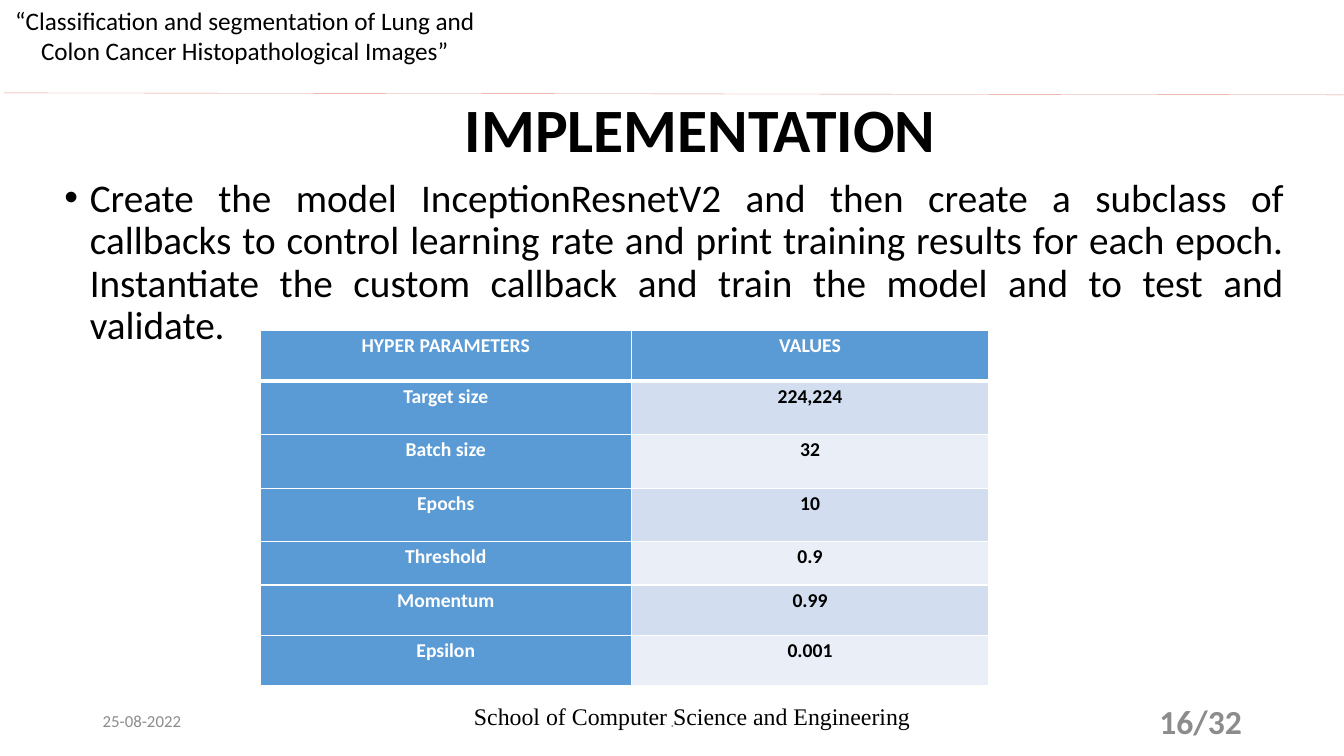
"""Build the implementation slide with its table of hyper parameters."""
from dataclasses import dataclass

import lxml.etree
import pptx
import pptx.dml.color
import pptx.enum.shapes
import pptx.enum.text
import pptx.oxml.ns
import pptx.util

Cm = pptx.util.Cm
Pt = pptx.util.Pt
Align = pptx.enum.text.PP_ALIGN
Anchor = pptx.enum.text.MSO_ANCHOR
qn = pptx.oxml.ns.qn

BLACK, WHITE, GREY = "000000", "FFFFFF", "8C8C8C"
BLUE, BANDS = "5B9BD5", ("EAEFF7", "D2DEEF")
ROSE = "E4948A"
FOOTER_TOP = 17.65


@dataclass(frozen=True)
class Label:
    text: str
    left: float
    top: float
    width: float
    height: float
    size: float
    color: str = GREY
    align: Align = Align.CENTER
    anchor: Anchor = Anchor.MIDDLE
    font: str = "Calibri"
    bold: bool = False


@dataclass(frozen=True)
class Parameter:
    name: str
    value: str
    height: float


LABELS = (
    Label("School of Computer Science and Engineering", 11.63, FOOTER_TOP, 11.63, 0.76,
          17, BLACK, font="Times New Roman"),
    Label("25-08-2022", 2.34, FOOTER_TOP, 7.62, 1.02, 12, align=Align.LEFT),
    Label(".", 11.23, FOOTER_TOP, 11.43, 1.02, 12),
    Label("16/32", 23.93, FOOTER_TOP, 7.62, 1.02, 24, align=Align.RIGHT, bold=True),
    Label("“Classification and segmentation of Lung and Colon Cancer Histopathological Images”",
          0, 0, 12.34, 1.8, 18, BLACK, anchor=Anchor.TOP),
)

PARAMETERS = (
    Parameter("HYPER PARAMETERS", "VALUES", 1.27),
    Parameter("Target size", "224,224", 1.35),
    Parameter("Batch size", "32", 1.35),
    Parameter("Epochs", "10", 1.35),
    Parameter("Threshold", "0.9", 1.09),
    Parameter("Momentum", "0.99", 1.27),
    Parameter("Epsilon", "0.001", 1.27),
)


def rgb(color: str) -> pptx.dml.color.RGBColor:
    """Return the colour of a hex string."""
    return pptx.dml.color.RGBColor.from_string(color)


def write(frame, text: str, *, size: float, color: str = BLACK, bold: bool = False,
          font: str = "Calibri", align: Align = Align.CENTER,
          anchor: Anchor = Anchor.TOP, spacing: float = 1.0, bullet: str = "") -> None:
    """Fill a text frame with one formatted paragraph."""
    frame.word_wrap = True
    frame.auto_size = pptx.enum.text.MSO_AUTO_SIZE.NONE
    frame.vertical_anchor = anchor
    paragraph = frame.paragraphs[0]
    if bullet:
        properties = paragraph._p.get_or_add_pPr()
        properties.set("marL", str(Cm(0.64)))
        properties.set("indent", str(-Cm(0.64)))
        lxml.etree.SubElement(properties, qn("a:buFont"), typeface="Arial")
        lxml.etree.SubElement(properties, qn("a:buChar"), char=bullet)
    paragraph.alignment = align
    paragraph.line_spacing = spacing
    paragraph.space_before = Pt(0)
    run = paragraph.add_run()
    run.text = text
    run.font.name = font
    run.font.size = Pt(size)
    run.font.bold = bold
    run.font.color.rgb = rgb(color)


def place(shape, left: float, top: float, width: float, height: float) -> None:
    """Move and size a shape in centimetres."""
    shape.left, shape.top = Cm(left), Cm(top)
    shape.width, shape.height = Cm(width), Cm(height)


def add_label(slide, label: Label) -> None:
    """Add one text box."""
    box = slide.shapes.add_textbox(Cm(label.left), Cm(label.top),
                                   Cm(label.width), Cm(label.height))
    write(box.text_frame, label.text, size=label.size, color=label.color,
          bold=label.bold, font=label.font, align=label.align, anchor=label.anchor)


def add_rule(slide) -> None:
    """Draw the thin line under the header."""
    line = slide.shapes.add_connector(pptx.enum.shapes.MSO_CONNECTOR.STRAIGHT,
                                      Cm(0.1), Cm(2.34), Cm(33.86), Cm(2.39))
    line.line.color.rgb = rgb(ROSE)
    line.line.width = Pt(0.25)
    lxml.etree.SubElement(line._element.spPr, qn("a:effectLst"))


def set_borders(cell, top: float, bottom: float) -> None:
    """Give a cell white borders with widths in points."""
    properties = cell._tc.get_or_add_tcPr()
    for side, width in (("L", 1), ("R", 1), ("T", top), ("B", bottom)):
        border = lxml.etree.SubElement(properties, qn(f"a:ln{side}"), w=str(Pt(width)))
        fill = lxml.etree.SubElement(border, qn("a:solidFill"))
        lxml.etree.SubElement(fill, qn("a:srgbClr"), val=WHITE)


def add_parameters(slide) -> None:
    """Add the table of hyper parameters."""
    widths = (9.37, 8.99)
    height = sum(parameter.height for parameter in PARAMETERS)
    table = slide.shapes.add_table(len(PARAMETERS), len(widths), Cm(6.55), Cm(8.33),
                                   Cm(sum(widths)), Cm(height)).table
    for column, width in zip(table.columns, widths):
        column.width = Cm(width)
    for row, parameter in enumerate(PARAMETERS):
        table.rows[row].height = Cm(parameter.height)
        for column, text in enumerate((parameter.name, parameter.value)):
            cell = table.cell(row, column)
            is_heading = row == 0 or column == 0
            cell.margin_left = cell.margin_right = Cm(0.18)
            cell.margin_top = cell.margin_bottom = Cm(0)
            set_borders(cell, top=3 if row == 1 else 1, bottom=3 if row == 0 else 1)
            cell.fill.solid()
            cell.fill.fore_color.rgb = rgb(BLUE if is_heading else BANDS[row % 2])
            write(cell.text_frame, text, size=14, bold=True, spacing=1.15,
                  color=WHITE if is_heading else BLACK)


def main() -> None:
    """Build and save the presentation."""
    presentation = pptx.Presentation()
    presentation.slide_width, presentation.slide_height = Cm(33.87), Cm(19.05)
    slide = presentation.slides.add_slide(presentation.slide_layouts[1])
    title, body = slide.placeholders
    place(title, 3.05, 2.31, 29.21, 2.06)
    write(title.text_frame, "IMPLEMENTATION", size=44, bold=True,
          anchor=Anchor.MIDDLE, spacing=0.9)
    place(body, 1.37, 4.37, 31.24, 12.78)
    write(body.text_frame,
          "Create the model InceptionResnetV2 and then create a subclass of callbacks to "
          "control learning rate and print training results for each epoch. Instantiate "
          "the custom callback and train the model and to test and validate.",
          size=28, align=Align.JUSTIFY, spacing=0.9, bullet="•")
    for label in LABELS:
        add_label(slide, label)
    add_rule(slide)
    add_parameters(slide)
    presentation.save("out.pptx")


if __name__ == "__main__":
    main()
